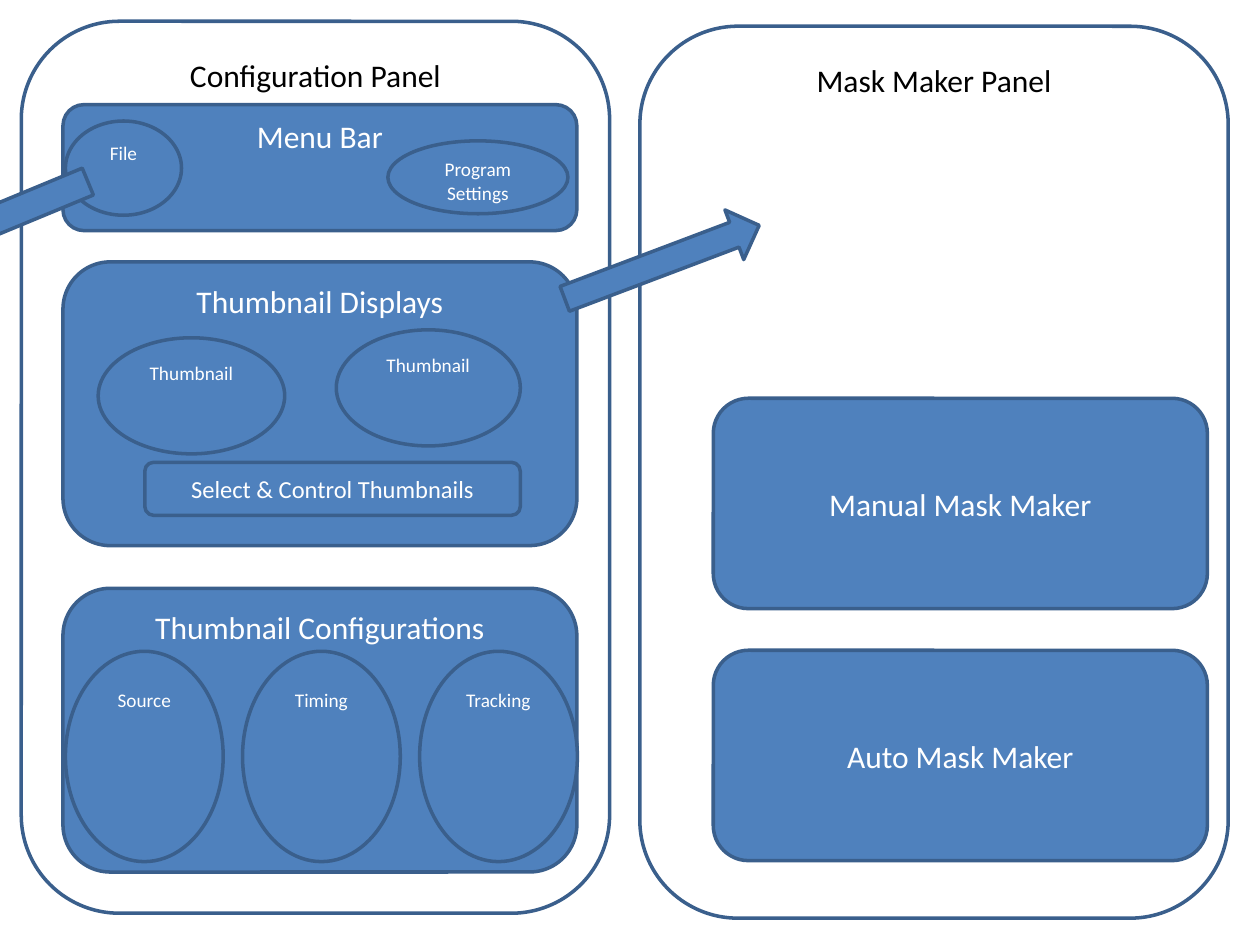
from pptx import Presentation
from pptx.dml.color import RGBColor
from pptx.enum.shapes import MSO_SHAPE
from pptx.enum.text import MSO_ANCHOR, PP_ALIGN
from pptx.util import Cm, Pt

FILL, OUTLINE, WHITE, BLACK = "4F81BD", "3A5F8C", "FFFFFF", "000000"
HEADING, BUTTON, LABEL = 18, 14, 11


def color(hex_value):
    return RGBColor.from_string(hex_value)


def inside(box, left, top, width, height):
    """Move a box from its parent's corner to slide coordinates."""
    return box[0] + left, box[1] + top, width, height


def draw(slide, kind, box, text="", size=HEADING, anchor=MSO_ANCHOR.TOP,
         fill=FILL, ink=WHITE, rotation=0):
    part = slide.shapes.add_shape(kind, *(Cm(length) for length in box))
    part.shadow.inherit = False
    part.rotation = rotation
    part.line.color.rgb = color(OUTLINE)
    part.line.width = Pt(2)
    if fill:
        part.fill.solid()
        part.fill.fore_color.rgb = color(fill)
    else:
        part.fill.background()
    if text:
        frame = part.text_frame
        frame.text = text
        frame.vertical_anchor = anchor
        frame.paragraphs[0].alignment = PP_ALIGN.CENTER
        font = frame.paragraphs[0].runs[0].font
        font.name, font.size = "Calibri", Pt(size)
        font.color.rgb = color(ink)


def rounded(slide, box, text, **style):
    draw(slide, MSO_SHAPE.ROUNDED_RECTANGLE, box, text, **style)


def bubble(slide, box, text):
    draw(slide, MSO_SHAPE.OVAL, box, text, size=LABEL)


def panel(slide, box, title):
    rounded(slide, box, title, fill=None, ink=BLACK)


def menu_bar(slide, box):
    rounded(slide, box, "Menu Bar")
    bubble(slide, inside(box, 0.05, 0.33, 2.34, 1.9), "File")
    bubble(slide, inside(box, 6.55, 0.73, 3.63, 1.47), "Program Settings")


def thumbnail_displays(slide, box):
    rounded(slide, box, "Thumbnail Displays")
    for left, top, width in ((0.71, 1.53, 3.76), (5.51, 1.37, 3.71)):
        bubble(slide, inside(box, left, top, width, 2.34), "Thumbnail")
    rounded(slide, inside(box, 1.65, 4.04, 7.57, 1.07),
            "Select & Control Thumbnails", size=BUTTON, anchor=MSO_ANCHOR.MIDDLE)


def thumbnail_configurations(slide, box):
    rounded(slide, box, "Thumbnail Configurations")
    for column, setting in enumerate(("Source", "Timing", "Tracking")):
        bubble(slide, inside(box, 0.05 + column * 3.57, 1.27, 3.18, 4.24), setting)


def configuration_panel(slide, box):
    panel(slide, box, "Configuration Panel")
    menu_bar(slide, inside(box, 0.84, 1.68, 10.36, 2.54))
    thumbnail_displays(slide, inside(box, 0.84, 4.85, 10.36, 5.72))
    thumbnail_configurations(slide, inside(box, 0.84, 11.43, 10.36, 5.72))


def mask_maker_panel(slide, box):
    panel(slide, box, "Mask Maker Panel")
    for row, mode in enumerate(("Manual", "Auto")):
        rounded(slide, inside(box, 1.48, 7.5 + row * 5.08, 9.96, 4.24),
                f"{mode} Mask Maker", anchor=MSO_ANCHOR.MIDDLE)


def flow_arrow(slide, box, rotation):
    draw(slide, MSO_SHAPE.RIGHT_ARROW, box, rotation=rotation)


presentation = Presentation()
presentation.slide_width, presentation.slide_height = Cm(25.4), Cm(19.05)
overview = presentation.slides.add_slide(presentation.slide_layouts[6])

# Panels
configuration_panel(overview, (0.43, 0.43, 11.86, 17.98))
mask_maker_panel(overview, (12.9, 0.53, 11.86, 17.98))

# Arrows from the thumbnails to the mask maker and out of the File menu
flow_arrow(overview, (11.25, 4.75, 4.19, 1.07), 339.3)
flow_arrow(overview, (-1.02, 3.63, 2.9, 1.17), 157.5)

presentation.save("out.pptx")
